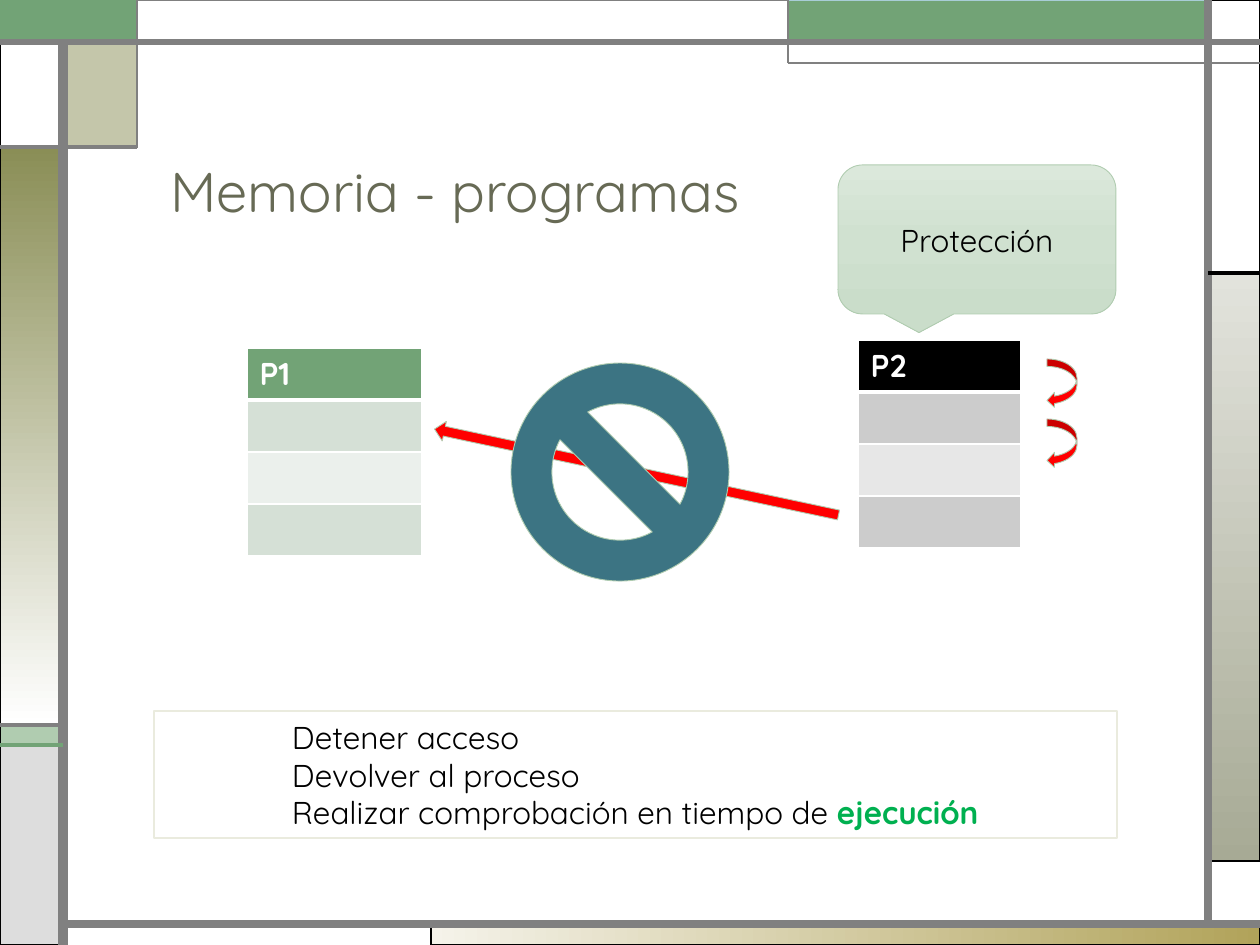
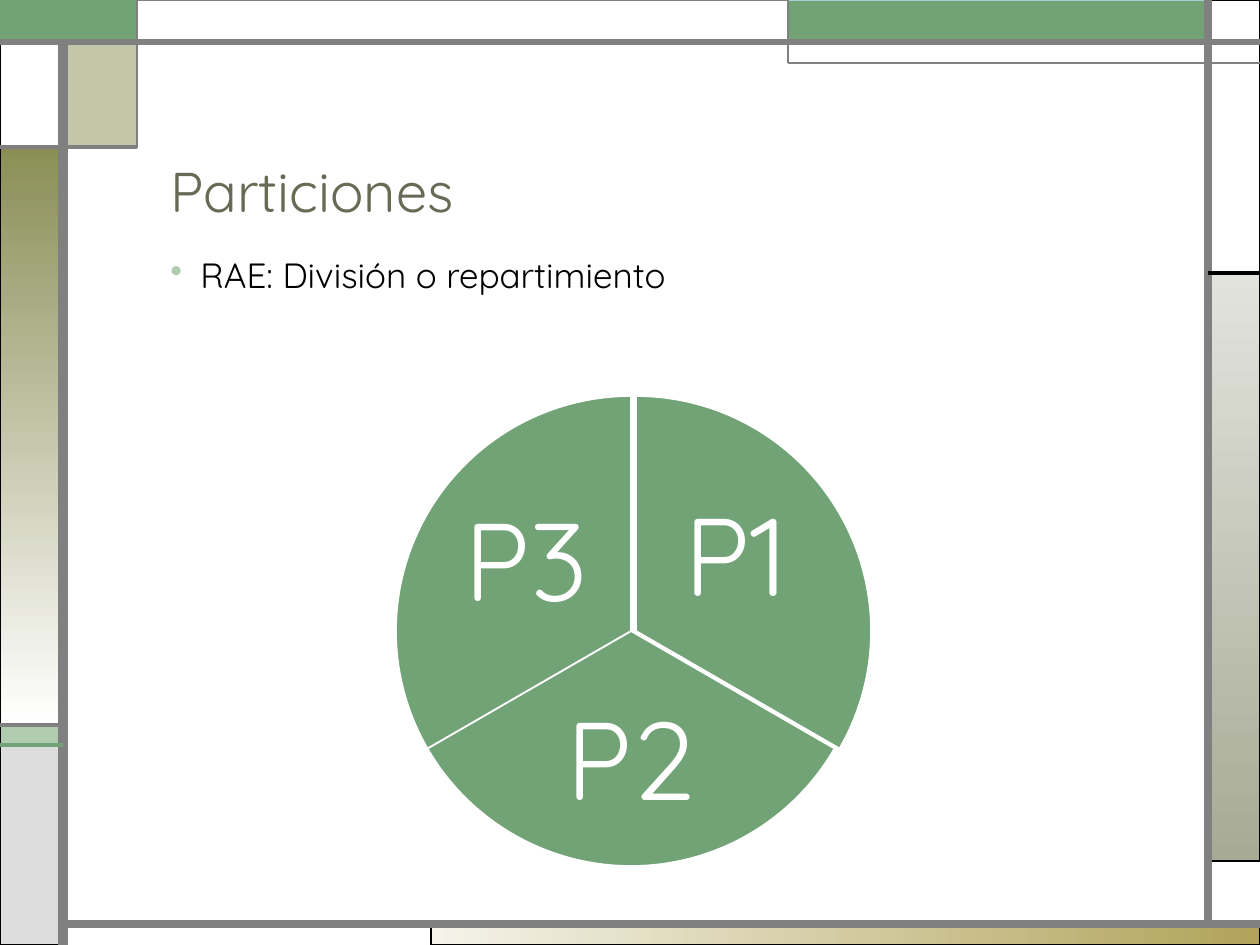
import copy

import pptx
import pptx.dml.color
import pptx.enum.shapes
import pptx.enum.text
import pptx.oxml
import pptx.oxml.ns
import pptx.util

RGB = pptx.dml.color.RGBColor
SHAPE = pptx.enum.shapes.MSO_SHAPE
STRAIGHT = pptx.enum.shapes.MSO_CONNECTOR.STRAIGHT
ANCHOR = pptx.enum.text.MSO_ANCHOR
ALIGN = pptx.enum.text.PP_ALIGN
qn = pptx.oxml.ns.qn

EMU_PER_PX = 914400 / 126
WIDTH, HEIGHT = 1260, 945
FONT = "Quicksand"

# Colours
BLACK = RGB(0x00, 0x00, 0x00)
WHITE = RGB(0xFF, 0xFF, 0xFF)
GREY = RGB(0x80, 0x80, 0x80)
PALE_GREY = RGB(0xDD, 0xDD, 0xDD)
GREEN = RGB(0x72, 0xA3, 0x76)
LIGHT_GREEN = RGB(0xB0, 0xCC, 0xB0)
STRONG_GREEN = RGB(0x00, 0xB0, 0x50)
OLIVE = RGB(0x8A, 0x8E, 0x56)
TITLE_OLIVE = RGB(0x67, 0x6A, 0x55)
CREAM = RGB(0xEA, 0xEB, 0xDE)
SKY = RGB(0xA8, 0xCD, 0xD7)
RED = RGB(0xFF, 0x00, 0x00)
TEAL = RGB(0x3C, 0x74, 0x83)
GOLD_FADE = (RGB(0xF5, 0xF3, 0xEA), RGB(0xB1, 0xA3, 0x5A))
STONE_FADE = (RGB(0xE2, 0xE3, 0xDC), RGB(0xA7, 0xAA, 0x95))
OLIVE_FADE = (OLIVE, WHITE)
CALLOUT_FADE = (RGB(0xDB, 0xE8, 0xDB), RGB(0xD0, 0xE1, 0xD0), RGB(0xCA, 0xDD, 0xCA))
GREEN_ROWS = (GREEN, RGB(0xD5, 0xE0, 0xD6), RGB(0xEB, 0xF0, 0xEC), RGB(0xD5, 0xE0, 0xD6))
BLACK_ROWS = (BLACK, RGB(0xCC, 0xCC, 0xCC), RGB(0xE7, 0xE7, 0xE7), RGB(0xCC, 0xCC, 0xCC))

# Edges of the decorative frame
LEFT, CORNER, BAND, RIGHT = 63, 137, 788, 1208
TOP, BAND_FOOT, CORNER_FOOT, NOTCH = 42, 63, 147, 273
CHIP, CHIP_FOOT, STONE_FOOT, BOTTOM = 725, 745, 861, 924

# left, top, right, bottom, fill, line colour, line width, gradient angle
FRAME_PANELS = [
    (431, BOTTOM, WIDTH, HEIGHT, GOLD_FADE, BLACK, 0.75, 0),
    (RIGHT, NOTCH, WIDTH, STONE_FOOT, STONE_FADE, BLACK, 0.75, 270),
    (0, CHIP, LEFT, CHIP_FOOT, LIGHT_GREEN, BLACK, 0.75, 0),
    (0, CHIP_FOOT, LEFT, HEIGHT, PALE_GREY, BLACK, 0.75, 0),
    (RIGHT, 0, WIDTH, NOTCH, WHITE, BLACK, 0.75, 0),
    (BAND, 0, RIGHT, TOP, GREEN, SKY, 0.75, 0),
    (LEFT, TOP, CORNER, CORNER_FOOT, OLIVE, BLACK, 0.75, 0),
    (0, CORNER_FOOT, LEFT, CHIP, OLIVE_FADE, BLACK, 0.75, 270),
    (0, TOP, LEFT, CORNER_FOOT, WHITE, BLACK, 0.75, 0),
    (0, 0, CORNER, TOP, GREEN, GREEN, 1.5, 0),
    (CORNER, 0, BAND, TOP, WHITE, GREY, 0.75, 0),
]
# start x, start y, end x, end y, colour, width
FRAME_RULES = [
    (LEFT, HEIGHT, LEFT, TOP, GREY, 6),
    (LEFT, BOTTOM, WIDTH, BOTTOM, GREY, 4.5),
    (RIGHT, BOTTOM, RIGHT, 0, GREY, 4.5),
    (0, TOP, WIDTH, TOP, GREY, 3),
    (WIDTH, BAND_FOOT, BAND, BAND_FOOT, GREY, 1.5),
    (BAND, BAND_FOOT, BAND, 0, GREY, 1.5),
    (RIGHT, NOTCH, WIDTH, NOTCH, BLACK, 2.25),
    (CORNER, 0, CORNER, CORNER_FOOT, GREY, 1.5),
    (CORNER, CORNER_FOOT, 0, CORNER_FOOT, GREY, 2.25),
    (LEFT, CHIP, 0, CHIP, GREY, 2.25),
    (LEFT, CHIP_FOOT, 0, CHIP_FOOT, GREEN, 2.25),
]


def px(*lengths):
    return [pptx.util.Emu(round(length * EMU_PER_PX)) for length in lengths]


def assign(target, values):
    for name, value in values.items():
        setattr(target, name, value)


class Deck:
    """Holds the presentation, its style and the current slide."""

    def __init__(self):
        self.presentation = pptx.Presentation()
        width, height = px(WIDTH, HEIGHT)
        assign(self.presentation, {"slide_width": width, "slide_height": height})
        self.slide = None

    def new_slide(self, title):
        self.slide = self.presentation.slides.add_slide(self.presentation.slide_layouts[6])
        for left, top, right, bottom, fill, line, weight, angle in FRAME_PANELS:
            panel = self.shape(SHAPE.RECTANGLE, (left, top, right - left, bottom - top),
                               fill, line, weight, angle)
            if fill == OLIVE:
                self.fade(panel, 50)
        for rule in FRAME_RULES:
            self.rule(*rule)
        self.text(self.box(158, 73, 993, 158), [[(title, {})]], 32, TITLE_OLIVE,
                  frame={"vertical_anchor": ANCHOR.BOTTOM}, paragraph={"line_spacing": 0.9})

    def shape(self, kind, place, fill=None, line=LIGHT_GREEN, weight=0.5, angle=270):
        shape = self.slide.shapes.add_shape(kind, *px(*place))
        shape.shadow.inherit = False
        shape.line.color.rgb = line
        shape.line.width = pptx.util.Pt(weight)
        if fill is None:
            shape.fill.background()
        elif isinstance(fill, RGB):
            shape.fill.solid()
            shape.fill.fore_color.rgb = fill
        else:
            self.gradient(shape, fill, angle)
        return shape

    def gradient(self, shape, colours, angle):
        shape.fill.gradient()
        shape.fill.gradient_angle = angle
        stops = shape._element.spPr.find(".//" + qn("a:gsLst"))
        for _ in colours[2:]:
            stops.insert(1, copy.deepcopy(stops[0]))
        for index, (stop, colour) in enumerate(zip(shape.fill.gradient_stops, colours)):
            stop.position = index / (len(colours) - 1)
            stop.color.rgb = colour

    def fade(self, shape, percent):
        colour = shape._element.spPr.find(qn("a:solidFill")).find(qn("a:srgbClr"))
        pptx.oxml.ns  # namespace helpers are used through qn
        colour.append(colour.makeelement(qn("a:alpha"), {"val": str(percent * 1000)}))

    def rule(self, x1, y1, x2, y2, colour, weight):
        rule = self.slide.shapes.add_connector(STRAIGHT, *px(x1, y1, x2, y2))
        assign(rule.line, {"width": pptx.util.Pt(weight)})
        rule.line.color.rgb = colour
        properties = rule._element.spPr
        properties.append(properties.makeelement(qn("a:effectLst"), {}))

    def box(self, *place):
        return self.slide.shapes.add_textbox(*px(*place))

    def text(self, holder, lines, size, colour, frame=None, paragraph=None):
        """Each line is a list of (words, font values) pairs."""
        body = holder.text_frame
        assign(body, {"word_wrap": True, **(frame or {})})
        for index, runs in enumerate(lines):
            line = body.add_paragraph() if index else body.paragraphs[0]
            assign(line, {"alignment": ALIGN.LEFT, **(paragraph or {})})
            for words, values in runs:
                values = dict(values)
                run = line.add_run()
                run.text = words
                run.font.color.rgb = values.pop("colour", colour)
                assign(run.font, {"name": FONT, "size": pptx.util.Pt(size), **values})

    def bullet(self, holder, indent):
        properties = holder.text_frame.paragraphs[0]._p.get_or_add_pPr()
        margin = px(indent)[0]
        properties.set("marL", str(margin))
        properties.set("indent", str(-margin))
        tint = properties.makeelement(qn("a:buClr"), {})
        tint.append(tint.makeelement(qn("a:srgbClr"), {"val": str(LIGHT_GREEN)}))
        properties.append(tint)
        properties.append(properties.makeelement(qn("a:buChar"), {"char": "•"}))

    def memory_table(self, name, left, top, width, fills, row_height=52):
        place = px(left, top, width, row_height * len(fills))
        table = self.slide.shapes.add_table(len(fills), 1, *place).table
        for row, fill in enumerate(fills):
            table.rows[row].height = px(row_height)[0]
            cell = table.cell(row, 0)
            self.borders(cell, {"L": 1, "R": 1, "T": 3 if row == 1 else 1,
                                "B": 3 if row == 0 else 1})
            cell.fill.solid()
            cell.fill.fore_color.rgb = fill
        self.text(table.cell(0, 0), [[(name, {"bold": True})]], 18, WHITE)

    def borders(self, cell, weights):
        properties = cell._tc.get_or_add_tcPr()
        for side, weight in weights.items():
            properties.append(pptx.oxml.parse_xml(
                f'<a:ln{side} {pptx.oxml.ns.nsdecls("a")} w="{weight * 12700}">'
                f'<a:solidFill><a:srgbClr val="{WHITE}"/></a:solidFill></a:ln{side}>'))


def memory_slide(deck):
    deck.new_slide("Memoria - programas")

    # Memory of the two programs
    deck.memory_table("P1", 247, 348, 175, GREEN_ROWS)
    deck.memory_table("P2", 858, 340, 163, BLACK_ROWS)

    # Allowed steps inside P2, forbidden access to P1
    for top in (359, 419):
        deck.shape(SHAPE.CURVED_LEFT_ARROW, (1047, top, 30, 49), RED)
    access = deck.shape(SHAPE.RIGHT_ARROW, (430, 462, 413, 20), RED)
    access.rotation = 192
    deck.shape(SHAPE.NO_SYMBOL, (511, 363, 218, 218), TEAL)

    # Measures and callout
    measures = deck.shape(SHAPE.RECTANGLE, (154, 711, 963, 127), None, CREAM, 0.75)
    deck.text(measures, [
        [("Detener acceso", {})],
        [("Devolver al proceso", {})],
        [("Realizar comprobación en tiempo de ", {}),
         ("ejecución", {"colour": STRONG_GREEN, "bold": True})],
    ], 18, BLACK, frame={"vertical_anchor": ANCHOR.MIDDLE, "margin_left": px(138)[0]})
    protection = deck.shape(SHAPE.ROUNDED_RECTANGULAR_CALLOUT, (838, 165, 278, 149), CALLOUT_FADE)
    deck.text(protection, [[("Protección", {})]], 18, BLACK,
              frame={"vertical_anchor": ANCHOR.MIDDLE}, paragraph={"alignment": ALIGN.CENTER})


def partitions_slide(deck):
    deck.new_slide("Particiones")

    # Definition
    definition = deck.box(158, 252, 993, 577)
    deck.text(definition, [[("RAE: División o repartimiento\u00a0".rstrip(), {})]], 20, BLACK,
              paragraph={"line_spacing": 0.9, "space_before": pptx.util.Pt(18)})
    deck.bullet(definition, 30)

    # Three equal sectors: name, left edge, start angle, label place
    sectors = [
        ("P1", 401, 270, (656, 483, 160, 156)),
        ("P2", 396, 30, (524, 692, 213, 146)),
        ("P3", 396, 150, (446, 488, 160, 156)),
    ]
    inset = px(11)[0]
    insets = {f"margin_{side}": inset for side in ("left", "top", "right", "bottom")}
    for name, left, start, label_place in sectors:
        sector = deck.shape(SHAPE.PIE, (left, 396, 470, 470), GREEN, WHITE, 1)
        for index, angle in enumerate((start, (start + 120) % 360)):
            sector.adjustments[index] = angle * 0.6
        deck.text(deck.box(*label_place), [[(name, {})]], 63, WHITE,
                  frame={"vertical_anchor": ANCHOR.MIDDLE, **insets},
                  paragraph={"alignment": ALIGN.CENTER, "line_spacing": 0.9})


def main():
    deck = Deck()
    memory_slide(deck)
    partitions_slide(deck)
    deck.presentation.save("out.pptx")


if __name__ == "__main__":
    main()
